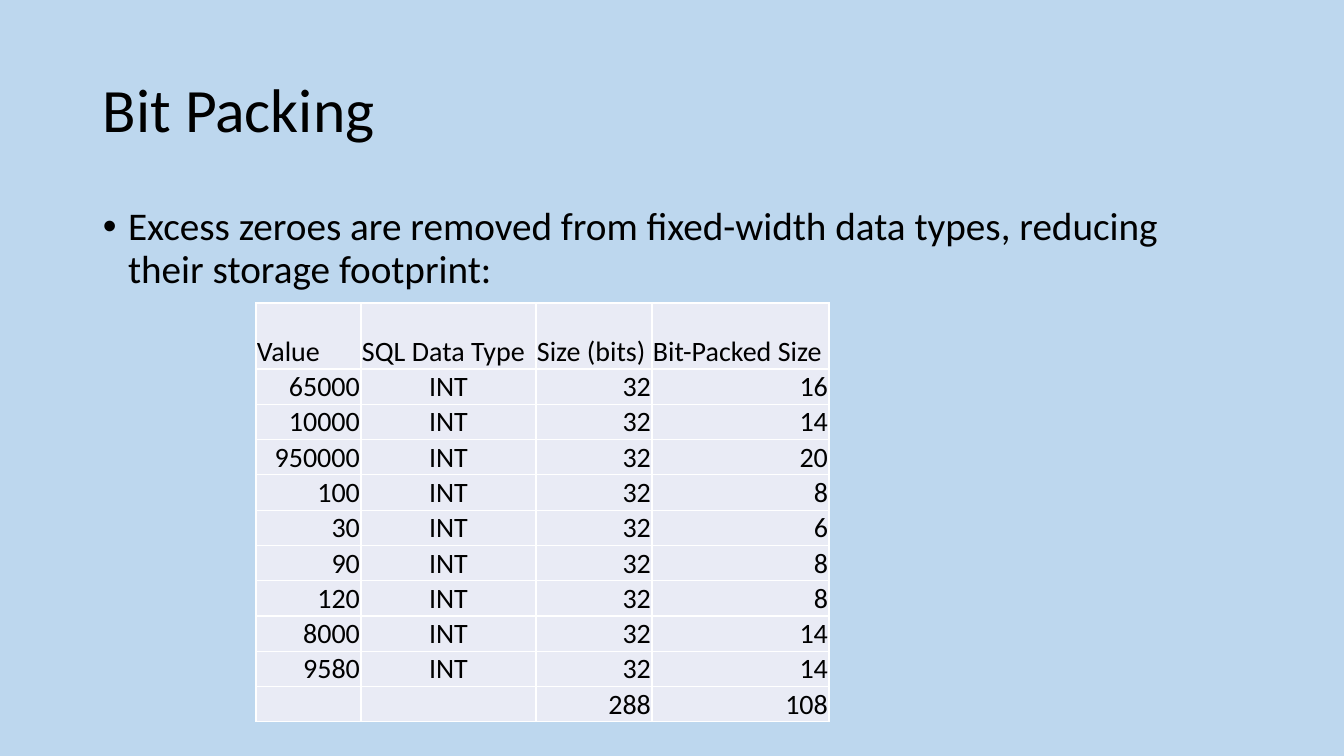
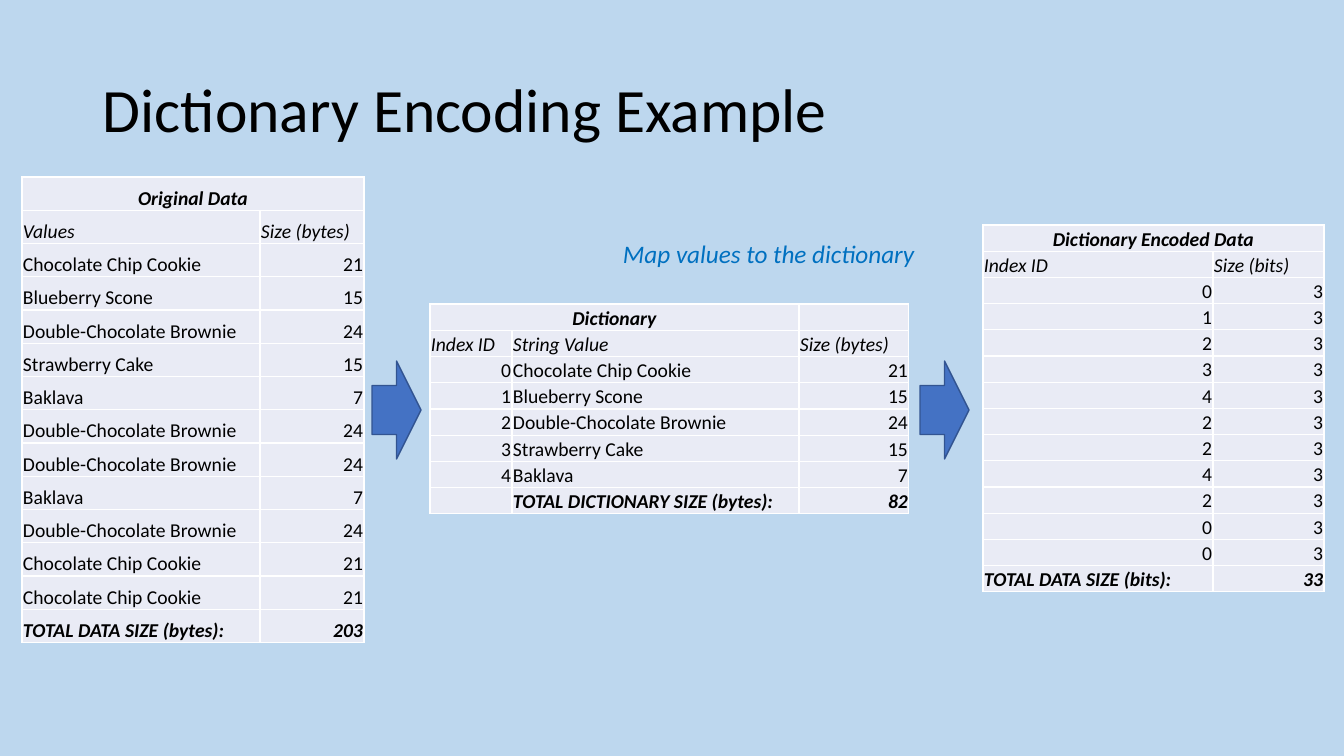
from dataclasses import dataclass
from typing import NamedTuple

from lxml import etree
from pptx import Presentation
from pptx import util as u
from pptx.dml.color import RGBColor
from pptx.enum import shapes, text
from pptx.oxml.ns import qn
from pptx.slide import Slide

EMU_PER_PX = 914400 / 100.8


def px(length: float) -> u.Emu:
    return u.Emu(round(length * EMU_PER_PX))


@dataclass(frozen=True)
class Theme:
    font: str = "Calibri"
    background: str = "BDD7EE"
    ink: str = "000000"
    accent: str = "0070C0"
    cell: str = "E9EBF5"
    border: str = "FFFFFF"
    arrow: str = "4472C4"
    arrow_edge: str = "325491"
    title_size: int = 44
    body_size: int = 28
    large_cell: int = 20
    small_cell: int = 14
    note_size: int = 18


THEME = Theme()
ALIGN = {"l": text.PP_ALIGN.LEFT, "c": text.PP_ALIGN.CENTER, "r": text.PP_ALIGN.RIGHT}


class Area(NamedTuple):
    left: int
    top: int
    width: int
    height: int


class Line(NamedTuple):
    """One table row, with one alignment letter per cell."""
    cells: tuple
    aligns: str
    bold: bool = False
    italic: bool = False
    span: int = 1


@dataclass(frozen=True)
class Grid:
    left: int
    top: int
    height: int
    widths: tuple[int, ...]
    size: int
    lines: list[Line]
    head_height: int = 0  # 0 makes all rows equal


TITLE = Area(93, 40, 1159, 146)
BODY = Area(93, 202, 1159, 480)
NOTE = Area(613, 233, 341, 40)
ARROWS = [Area(left, 361, 49, 98) for left in (372, 920)]


# Shared text parts

def add_span(para, words: str, size: int, colour: str = THEME.ink,
             bold: bool = False, italic: bool = False) -> None:
    span = para.add_run()
    span.text = words
    font = span.font
    font.name, font.size = THEME.font, u.Pt(size)
    font.bold, font.italic = bold, italic
    font.color.rgb = RGBColor.from_string(colour)


def add_box(page: Slide, area: Area):
    frame = page.shapes.add_textbox(*map(px, area)).text_frame
    frame.word_wrap = True
    return frame


def add_page(deck, title: str) -> Slide:
    page = deck.slides.add_slide(deck.slide_layouts[6])
    fill = page.background.fill
    fill.solid()
    fill.fore_color.rgb = RGBColor.from_string(THEME.background)
    frame = add_box(page, TITLE)
    frame.vertical_anchor = text.MSO_ANCHOR.MIDDLE
    para = frame.paragraphs[0]
    para.line_spacing = 0.9
    add_span(para, title, THEME.title_size)
    return page


def add_bullet(page: Slide, words: str) -> None:
    para = add_box(page, BODY).paragraphs[0]
    para.line_spacing, para.space_before = 0.9, u.Pt(10)
    indent = u.Inches(0.25)
    props = para._p.get_or_add_pPr()
    props.set("marL", str(indent))
    props.set("indent", str(-indent))
    etree.SubElement(props, qn("a:buFont"), typeface="Arial")
    etree.SubElement(props, qn("a:buChar"), char="•")
    add_span(para, words, THEME.body_size)


def add_arrow(page: Slide, area: Area) -> None:
    arrow = page.shapes.add_shape(shapes.MSO_SHAPE.RIGHT_ARROW, *map(px, area))
    arrow.shadow.inherit = False
    arrow.fill.solid()
    arrow.fill.fore_color.rgb = RGBColor.from_string(THEME.arrow)
    arrow.line.color.rgb = RGBColor.from_string(THEME.arrow_edge)
    arrow.line.width = u.Pt(1)


# Tables

def style_cell(cell) -> None:
    cell.margin_left = cell.margin_right = cell.margin_top = px(1)
    cell.margin_bottom = 0
    cell.vertical_anchor = text.MSO_ANCHOR.BOTTOM
    props = cell._tc.get_or_add_tcPr()
    for side in ("lnL", "lnR", "lnT", "lnB"):
        edge = etree.SubElement(props, qn(f"a:{side}"), w=str(u.Pt(1)))
        fill = etree.SubElement(edge, qn("a:solidFill"))
        etree.SubElement(fill, qn("a:srgbClr"), val=THEME.border)
    cell.fill.solid()
    cell.fill.fore_color.rgb = RGBColor.from_string(THEME.cell)


def add_grid(page: Slide, grid: Grid) -> None:
    count = len(grid.lines)
    area = Area(grid.left, grid.top, sum(grid.widths), grid.height)
    table = page.shapes.add_table(count, len(grid.widths), *map(px, area)).table
    table.first_row = table.horz_banding = False
    for column, width in zip(table.columns, grid.widths):
        column.width = px(width)
    head = grid.head_height or grid.height / count
    for index, row in enumerate(table.rows):
        row.height = px((grid.height - head) / (count - 1) if index else head)
    for r, line in enumerate(grid.lines):
        for c, (value, align) in enumerate(zip(line.cells, line.aligns)):
            cell = table.cell(r, c)
            style_cell(cell)
            para = cell.text_frame.paragraphs[0]
            para.alignment = ALIGN[align]
            if value != "":
                add_span(para, str(value), grid.size, bold=line.bold, italic=line.italic)
            else:  # keeps empty cells from stretching the row
                etree.SubElement(para._p, qn("a:endParaRPr"), sz=str(grid.size * 100))
        if line.span > 1:
            table.cell(r, 0).merge(table.cell(r, line.span - 1))


def caption(words: str, columns: int) -> Line:
    cells = (words,) + ("",) * (columns - 1)
    return Line(cells, "c" * columns, bold=True, italic=True, span=2)


def heads(*cells: str) -> Line:
    return Line(cells, "l" * len(cells), italic=True)


def total(aligns: str, *cells) -> Line:
    return Line(cells, aligns, bold=True, italic=True)


# Slides

def build_bit_packing(deck) -> None:
    page = add_page(deck, "Bit Packing")
    add_bullet(page, "Excess zeroes are removed from fixed-width data types, "
                     "reducing their storage footprint:")
    packed = [(65000, 16), (10000, 14), (950000, 20), (100, 8), (30, 6),
              (90, 8), (120, 8), (8000, 14), (9580, 14)]
    int_bits = 32
    add_grid(page, Grid(256, 303, 419, (105, 175, 116, 177), THEME.large_cell, [
        Line(("Value", "SQL Data Type", "Size (bits)", "Bit-Packed Size"), "llll"),
        *(Line((value, "INT", int_bits, bits), "rcrr") for value, bits in packed),
        Line(("", "", int_bits * len(packed), sum(bits for _, bits in packed)), "rcrr"),
    ], head_height=66))


def build_dictionary(deck) -> None:
    page = add_page(deck, "Dictionary Encoding Example")
    entries = [("Chocolate Chip Cookie", 21), ("Blueberry Scone", 15),
               ("Double-Chocolate Brownie", 24), ("Strawberry Cake", 15), ("Baklava", 7)]
    indexes = [0, 1, 2, 3, 4, 2, 2, 4, 2, 0, 0]
    index_bits = 3
    values = [entries[index] for index in indexes]

    original = Grid(22, 177, 466, (238, 104), THEME.small_cell, [
        caption("Original Data", 2),
        heads("Values", "Size (bytes)"),
        *(Line(entry, "lr") for entry in values),
        total("lr", "TOTAL DATA SIZE (bytes):", sum(size for _, size in values)),
    ])
    dictionary = Grid(430, 304, 210, (82, 287, 110), THEME.small_cell, [
        caption("Dictionary", 3),
        heads("Index ID", "String Value", "Size (bytes)"),
        *(Line((index, *entry), "rlr") for index, entry in enumerate(entries)),
        total("rlr", "", "TOTAL DICTIONARY SIZE (bytes):", sum(size for _, size in entries)),
    ])
    encoded = Grid(983, 225, 367, (230, 111), THEME.small_cell, [
        caption("Dictionary Encoded Data", 2),
        heads("Index ID", "Size (bits)"),
        *(Line((index, index_bits), "rr") for index in indexes),
        total("lr", "TOTAL DATA SIZE (bits):", index_bits * len(indexes)),
    ])
    for grid in (original, dictionary, encoded):
        add_grid(page, grid)
    for area in ARROWS:
        add_arrow(page, area)

    note = add_box(page, NOTE)
    note.auto_size = text.MSO_AUTO_SIZE.SHAPE_TO_FIT_TEXT
    add_span(note.paragraphs[0], "Map values to the dictionary", THEME.note_size,
             THEME.accent, italic=True)


def main() -> None:
    deck = Presentation()
    deck.slide_width, deck.slide_height = px(1344), px(756)
    build_bit_packing(deck)
    build_dictionary(deck)
    deck.save("out.pptx")


if __name__ == "__main__":
    main()
